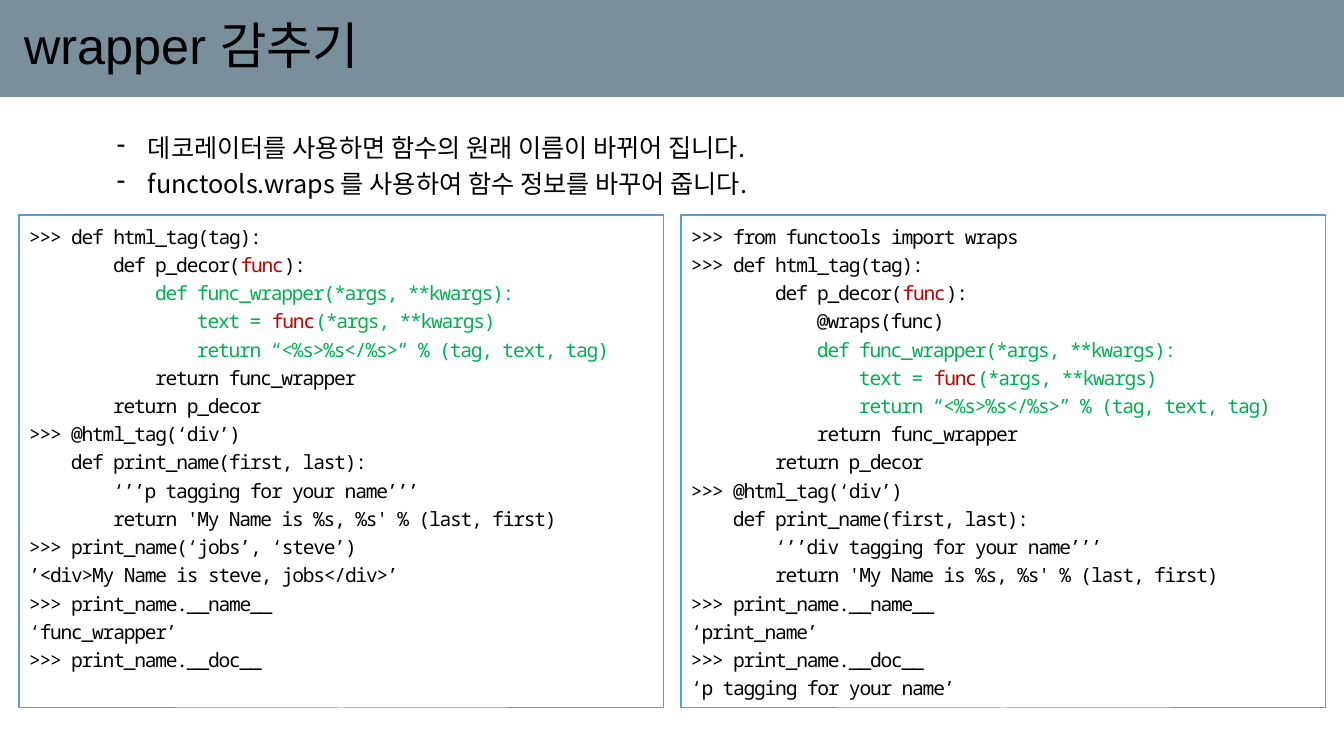
from pptx import Presentation
from pptx.dml.color import RGBColor
from pptx.enum.shapes import MSO_SHAPE
from pptx.enum.text import MSO_ANCHOR, PP_ALIGN
from pptx.oxml.ns import qn
from pptx.util import Pt
from lxml.etree import SubElement

EMU_PER_PX = 914400 / 100.8
COLORS = {"bar": "79909C", "border": "5B9BD5", "ink": "000000",
          "argument": "C00000", "inner": "00B050"}
KOREAN = "Noto Sans CJK KR"
MONO = "Noto Sans Mono"
CODE_LEVEL = 42


def px(length):
    return round(length * EMU_PER_PX)


def color(name):
    return RGBColor.from_string(COLORS[name])


def add_span(para, text, size, font, east_font, ink="ink", spacing=None):
    span = para.add_run()
    span.text = text
    span.font.size = Pt(size)
    span.font.name = font
    span.font.color.rgb = color(ink)
    properties = span._r.get_or_add_rPr()
    SubElement(properties, qn("a:ea")).set("typeface", east_font)
    if spacing is not None:
        properties.set("spc", str(spacing))


def add_para(frame, first, line_spacing, left=0, hanging=0, bullet=None):
    para = frame.paragraphs[0] if first else frame.add_paragraph()
    para.alignment = PP_ALIGN.LEFT
    para.line_spacing = line_spacing
    properties = para._p.get_or_add_pPr()
    properties.set("marL", str(px(left)))
    properties.set("indent", str(-px(hanging)))
    if bullet:
        SubElement(properties, qn("a:buFontTx"))
        SubElement(properties, qn("a:buChar")).set("char", bullet)
    return para


def add_box(page, box, fill=None, line=None, anchor=MSO_ANCHOR.TOP, inset=10):
    shape = page.shapes.add_shape(MSO_SHAPE.RECTANGLE, *map(px, box))
    shape.shadow.inherit = False
    if fill:
        shape.fill.solid()
        shape.fill.fore_color.rgb = color(fill)
    else:
        shape.fill.background()
    if line:
        shape.line.color.rgb = color(line)
        shape.line.width = Pt(0.75)
    else:
        shape.line.fill.background()
    frame = shape.text_frame
    frame.word_wrap = True
    frame.vertical_anchor = anchor
    frame.margin_left = px(inset)
    return frame


def add_title(page, box, text):
    frame = add_box(page, box, fill="bar", anchor=MSO_ANCHOR.MIDDLE, inset=24)
    para = add_para(frame, True, 0.9)
    add_span(para, text, size=36, font="Arial", east_font=KOREAN)


def add_bullets(page, box, lines):
    frame = page.shapes.add_textbox(*map(px, box)).text_frame
    frame.word_wrap = True
    for index, text in enumerate(lines):
        para = add_para(frame, index == 0, 1.2, left=31, hanging=31, bullet="-")
        add_span(para, text, size=18, font=KOREAN, east_font=KOREAN)


def add_code(page, box, lines):
    frame = add_box(page, box, line="border")
    for index, (level, *spans) in enumerate(lines):
        para = add_para(frame, index == 0, 1.2, left=level * CODE_LEVEL)
        for span in spans:
            text, ink = (span, "ink") if isinstance(span, str) else span
            add_span(para, text, size=14, font=MONO, east_font=MONO,
                     ink=ink, spacing=-90)


FUNC = ("func", "argument")
DECORATOR_HEAD = [
    (0, ">>> def html_tag(tag):"),
    (2, "def p_decor(", FUNC, "):"),
]
DECORATOR_BODY = [
    (3, ("def func_wrapper(*args, **kwargs):", "inner")),
    (4, ("text = ", "inner"), FUNC, ("(*args, **kwargs)", "inner")),
    (4, ("return “<%s>%s</%s>” % (tag, text, tag)", "inner")),
    (3, "return func_wrapper"),
    (2, "return p_decor"),
    (0, ">>> @html_tag(‘div’)"),
    (1, "def print_name(first, last):"),
]
RETURN_NAME = (2, "return 'My Name is %s, %s' % (last, first)")
ASK_NAME = (0, ">>> print_name.__name__")
ASK_DOC = (0, ">>> print_name.__doc__")

PLAIN_CODE = [
    *DECORATOR_HEAD,
    *DECORATOR_BODY,
    (2, "‘’’p tagging for your name’’’"),
    RETURN_NAME,
    (0, ">>> print_name(‘jobs’, ‘steve’)"),
    (0, "’<div>My Name is steve, jobs</div>’"),
    ASK_NAME,
    (0, "‘func_wrapper’"),
    ASK_DOC,
]
WRAPS_CODE = [
    (0, ">>> from functools import wraps"),
    *DECORATOR_HEAD,
    (3, "@wraps(func)"),
    *DECORATOR_BODY,
    (2, "‘’’div tagging for your name’’’"),
    RETURN_NAME,
    ASK_NAME,
    (0, "‘print_name’"),
    ASK_DOC,
    (0, "‘p tagging for your name’"),
]

deck = Presentation()
deck.slide_width, deck.slide_height = px(1344), px(756)
page = deck.slides.add_slide(deck.slide_layouts[6])
add_title(page, (0, 0, 1344, 97), "wrapper 감추기")
add_bullets(page, (107, 121, 1067, 84), [
    "데코레이터를 사용하면 함수의 원래 이름이 바뀌어 집니다.",
    "functools.wraps 를 사용하여 함수 정보를 바꾸어 줍니다.",
])
panel_width, panel_gap = 645, 17
for column, code in enumerate((PLAIN_CODE, WRAPS_CODE)):
    left = 19 + column * (panel_width + panel_gap)
    add_code(page, (left, 215, panel_width, 493), code)
deck.save("out.pptx")
